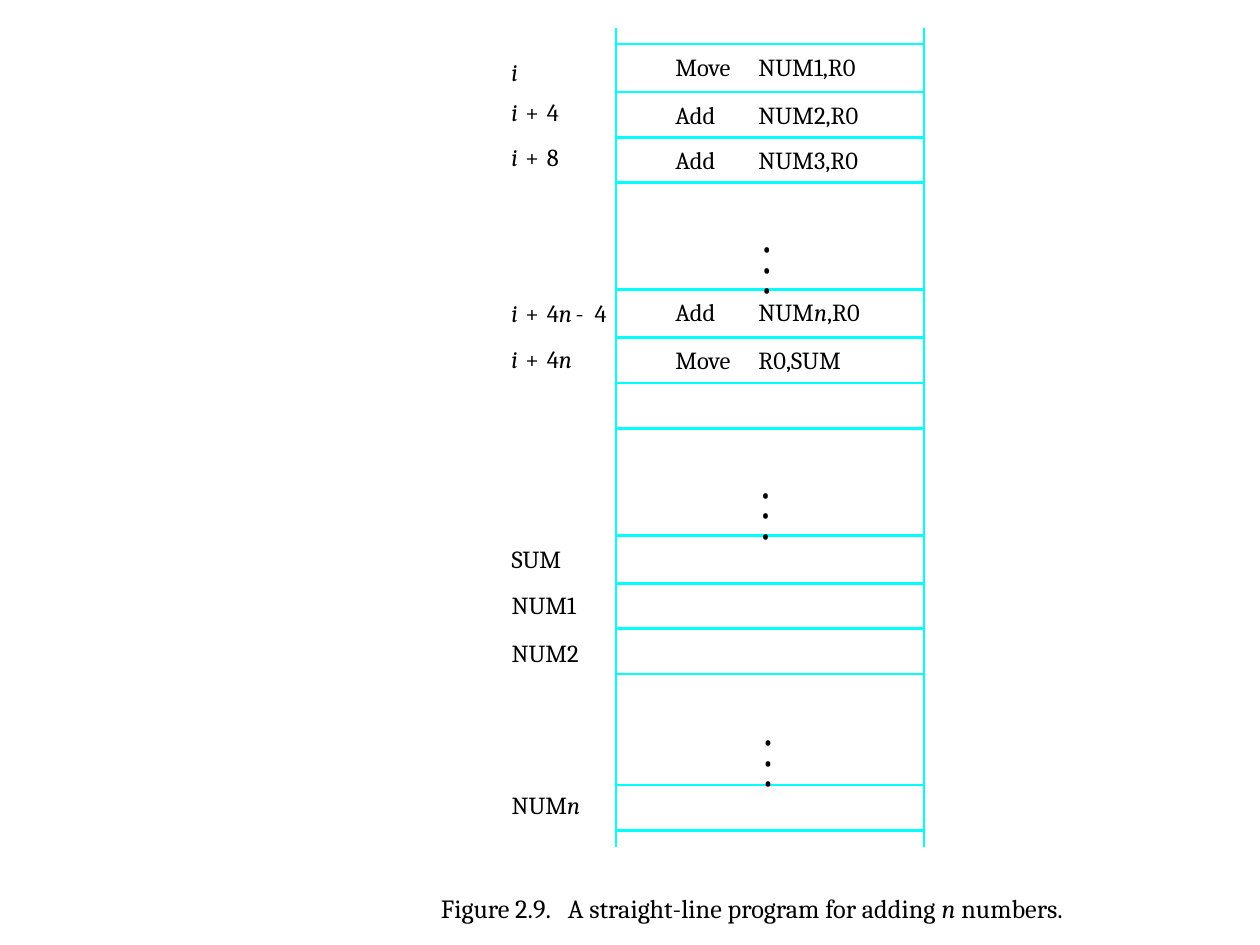
from dataclasses import dataclass

from lxml import etree
from pptx import Presentation
from pptx import util as u
from pptx.dml.color import RGBColor
from pptx.enum import shapes, text
from pptx.oxml import ns


@dataclass(frozen=True)
class Theme:
    font: str = "Cambria"
    ink: RGBColor = RGBColor(0, 0, 0)
    rule: RGBColor = RGBColor(0, 255, 255)
    body: float = 14
    caption: float = 15
    dot: float = 16
    dot_pitch: float = 11.7
    rule_width: float = 1.5


def write(para, content, *, theme, size, align=text.PP_ALIGN.LEFT, leading=None, tab=None):
    para.alignment = align
    if leading:
        para.line_spacing = u.Pt(leading)
    if tab:
        stops = etree.SubElement(para._p.get_or_add_pPr(), ns.qn("a:tabLst"))
        etree.SubElement(stops, ns.qn("a:tab"), pos=str(u.Pt(tab)), algn="l")
    for index, part in enumerate(content.split("*")):
        if part:
            span = para.add_run()
            span.text = part
            span.font.name = theme.font
            span.font.size = u.Pt(size)
            span.font.italic = index % 2 == 1
            span.font.color.rgb = theme.ink


class Figure:
    def __init__(self, page, theme):
        self.page = page
        self.theme = theme

    def box(self, left, top, width, height, wrap=False):
        box = self.page.shapes.add_textbox(*map(u.Pt, (left, top, width, height)))
        frame = box.text_frame
        frame.margin_left = frame.margin_right = frame.margin_top = frame.margin_bottom = 0
        frame.word_wrap = wrap
        frame.auto_size = text.MSO_AUTO_SIZE.SHAPE_TO_FIT_TEXT
        return frame

    def label(self, content, left, top, width, size=None, tab=None):
        size = size or self.theme.body
        frame = self.box(left, top, width, size * 1.2)
        write(frame.paragraphs[0], content, theme=self.theme, size=size, tab=tab)

    def rule(self, x1, y1, x2, y2):
        line = self.page.shapes.add_connector(
            shapes.MSO_CONNECTOR.STRAIGHT, *map(u.Pt, (x1, y1, x2, y2)))
        line.line.color.rgb = self.theme.rule
        line.line.width = u.Pt(self.theme.rule_width)
        etree.SubElement(line._element.spPr, ns.qn("a:effectLst"))

    def dots(self, left, top):
        pitch = self.theme.dot_pitch
        frame = self.box(left, top, 21, 3 * pitch, wrap=True)
        for index in range(3):
            para = frame.add_paragraph() if index else frame.paragraphs[0]
            write(para, "•", theme=self.theme, size=self.theme.dot,
                  align=text.PP_ALIGN.CENTER, leading=pitch)


MEMORY_LEFT, MEMORY_RIGHT = 352.1, 528
MEMORY_TOP, MEMORY_BOTTOM = 15.8, 483.8
FIRST_LINE, BLOCK_PITCH = 25.2, 140.4
ROW_OFFSETS = (0, 27.4, 53.3, 79.2)
LAST_ROW = (448.6, 474.5)
TEXT_DROP = 4.3
LABEL_LEFT, OPCODE_LEFT, OPERAND_LEFT = 292.3, 385.9, 433.4
TERM_COLUMNS = ((LABEL_LEFT, 3), (300.2, 8), (312.5, 15.5), (329, 4.5), (339.8, 8))

ADDRESSES = (
    (32.4, ("*i*",)),
    (55.4, ("*i*", "+", "4")),
    (81.4, ("*i*", "+", "8")),
    (170.4, ("*i*", "+", "4*n*", "-", "4")),
    (196.6, ("*i*", "+", "4*n*")),
)
INSTRUCTIONS = (
    (0, 0, "Move", "NUM1,R0"),
    (0, 1, "Add", "NUM2,R0"),
    (0, 2, "Add", "NUM3,R0"),
    (1, 0, "Add", "NUM*n*,R0"),
    (1, 1, "Move", "R0,SUM"),
)
DATA_LABELS = (("SUM", 311), ("NUM1", 337), ("NUM2", 364.3), ("NUM*n*", 451.4))
DOT_GROUPS = ((427.7, 139.5), (427, 279.6), (428.4, 421.2))


def main():
    theme = Theme()
    deck = Presentation()
    deck.slide_width, deck.slide_height = u.Pt(720), u.Pt(540)
    figure = Figure(deck.slides.add_slide(deck.slide_layouts[6]), theme)

    blocks = [[FIRST_LINE + block * BLOCK_PITCH + offset for offset in ROW_OFFSETS]
              for block in range(3)]
    for y in sum(blocks, []) + list(LAST_ROW):
        figure.rule(MEMORY_LEFT, y, MEMORY_RIGHT, y)
    for x in (MEMORY_LEFT, MEMORY_RIGHT):
        figure.rule(x, MEMORY_TOP, x, MEMORY_BOTTOM)

    for top, terms in ADDRESSES:
        for term, (left, width) in zip(terms, TERM_COLUMNS):
            figure.label(term, left, top, width)
    for block, row, opcode, operand in INSTRUCTIONS:
        top = blocks[block][row] + TEXT_DROP
        figure.label(opcode, OPCODE_LEFT, top, 34)
        figure.label(operand, OPERAND_LEFT, top, 61)
    for name, top in DATA_LABELS:
        figure.label(name, LABEL_LEFT, top, 40)
    for left, top in DOT_GROUPS:
        figure.dots(left, top)

    figure.label("Figure 2.9.\tA straight-line program for adding *n* numbers.",
                 252, 509.8, 390, size=theme.caption, tab=72.6)
    deck.save("out.pptx")


if __name__ == "__main__":
    main()
